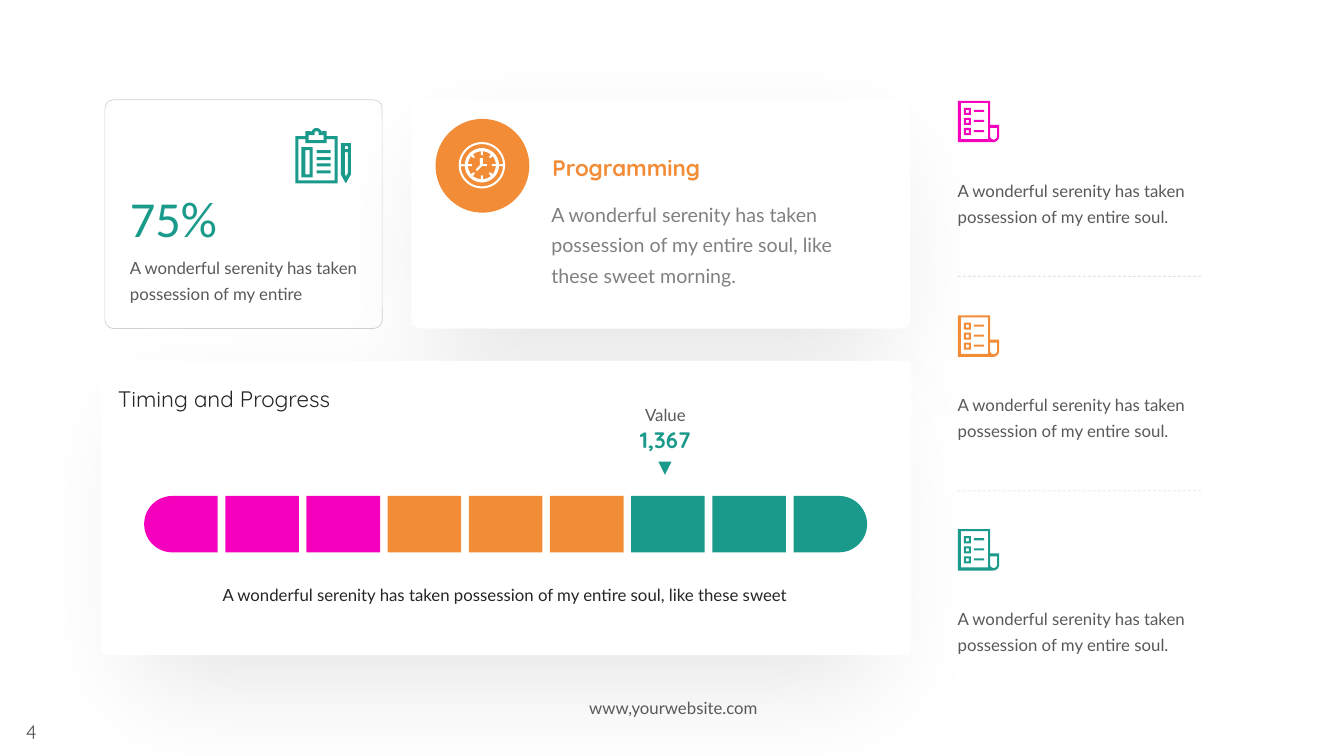
import math
import pptx
import pptx.dml.color
import pptx.enum.dml
import pptx.enum.shapes
import pptx.enum.text
import pptx.oxml
import pptx.oxml.ns
import pptx.util

PX = 9144  # EMU per px, 100 px to the inch
SHAPE = pptx.enum.shapes.MSO_SHAPE
ALIGN = pptx.enum.text.PP_ALIGN


class Theme:
    pink, orange, teal, white = "F500BD", "F38C37", "1A9A8B", "FFFFFF"
    ink, text, muted, rule = "262626", "595959", "808080", "A6A6A6"
    body, heading, plain = "Lato", "Quicksand", "Calibri"
    small, medium, large, huge = 12, 14, 16, 36


SERENITY = "A wonderful serenity has taken possession of my entire"
# text, box, font, size, colour, bold, centred, line spacing
TEXTS = [
    ("4", (0, 709, 62, 34), Theme.heading, Theme.medium, Theme.text, False, True, 1),
    ("75%", (119, 163, 246, 83), Theme.plain, Theme.huge, Theme.teal, False, False, 1.3),
    (SERENITY, (119, 245, 246, 54), Theme.body, Theme.small, Theme.text, False, False, 1.3),
    (SERENITY + " soul, like these sweet morning.", (537, 189, 342, 94),
     Theme.body, Theme.medium, Theme.muted, False, False, 1.3),
    ("Programming", (538, 140, 289, 40), Theme.heading, Theme.large, Theme.orange, True, False, 1.3),
    ("Timing and Progress", (107, 369, 233, 42),
     Theme.heading, Theme.large, Theme.ink, False, False, 1.3),
    (SERENITY + " soul, like these sweet", (118, 569, 766, 47),
     Theme.body, Theme.small, Theme.ink, False, True, 1.3),
    ("1,367", (616, 418, 88, 37), Theme.heading, Theme.large, Theme.teal, True, True, 1),
    ("Value", (613, 391, 94, 33), Theme.body, Theme.small, Theme.text, False, True, 1.3),
    ("www,yourwebsite.com", (546, 687, 244, 30),
     Theme.body, Theme.small, Theme.text, False, True, 1),
]
CARDS = [((408, 98, 495, 228), 0.038), ((100, 358, 804, 292), 0.02)]
STATS_CARD = (104, 99, 275, 227)
BADGE = (432, 118, 93, 93)
POINTER = (653, 458, 13, 13)
BAR = dict(left=143, top=492, width=73, height=56, right=860,
           colours=[Theme.pink] * 3 + [Theme.orange] * 3 + [Theme.teal] * 3)
NOTES = [(100, Theme.pink), (313, Theme.orange), (525, Theme.teal)]
NOTE_TEXT = SERENITY + " soul."
NOTE_LEFT, NOTE_RIGHT = 950, 1191


def box(x1, y1, x2, y2):
    return [(x1, y1), (x2, y1), (x2, y2), (x1, y2)]


def arc(cx, cy, r, start, end, steps=24):
    """Points along an arc, degrees clockwise from the right."""
    angles = [math.radians(start + (end - start) * i / steps) for i in range(steps + 1)]
    return [(cx + r * math.cos(a), cy + r * math.sin(a)) for a in angles]


def checklist_icon():
    outlines = [
        [(0, 0), (32, 0), (32, 24), (41, 24)] + arc(35, 35, 6, 0, 90) + [(0, 41)],
        box(3, 2, 30, 38),
        [(39, 27), (32, 27)] + arc(35.5, 35, 3.5, 180, 0),
    ]
    for y in (7, 17, 27):
        outlines += [box(6, y, 13, y + 7), box(8, y + 2, 11, y + 5), box(16, y + 2, 26, y + 4)]
    return outlines


def clipboard_icon():
    outlines = [
        [(0, 8), (10, 8), (10, 3)] + arc(21, 5, 5, 200, 340)
        + [(31, 3), (31, 8), (42, 8), (42, 55), (0, 55)],
        [(3, 11), (10, 11), (10, 15), (31, 15), (31, 11), (39, 11), (39, 52), (3, 52)],
        arc(21, 5, 2, 180, 360) + [(23, 7), (28, 7), (28, 12), (13, 12), (13, 7), (19, 7)],
        box(6, 19, 17, 49), box(10, 22, 14, 46),
        [(45, 15), (55, 15), (55, 46), (50, 55), (45, 46)],
        box(49, 18, 52, 21),
        [(49, 24), (52, 24), (52, 45), (50, 48), (49, 45)],
    ]
    return outlines + [box(21, y, 35, y + 3) for y in (22, 29, 35, 42)]


def clock_icon():
    quarter = [(-1, -10), (-1, -14), (-5, -13), (-9, -11), (-7, -8),
               (-8, -7), (-11, -9), (-13, -5), (-14, -1), (-10, -1)]
    dial = []
    for _ in range(4):
        dial += quarter
        quarter = [(y, -x) for x, y in quarter]
    hands = [(-2, -7), (1, -7), (1, -1), (5, -1), (5, 1), (0, 1), (-5, 6), (-6, 4), (-2, 0)]
    rings = [arc(0, 0, 21, a, a + 174) + arc(0, 0, 17, a + 174, a) for a in (3, 183)]
    return [arc(0, 0, 23, 0, 360, 60), *rings, dial, hands]


def rgb(colour):
    return pptx.dml.color.RGBColor.from_string(colour)


def emu(values):
    return [round(v * PX) for v in values]


def add_xml(parent, xml):
    ns = pptx.oxml.ns.nsdecls("a")
    parent.append(pptx.oxml.parse_xml(xml.replace(" ", f" {ns} ", 1)))


def paint(sp, fill):
    sp.shadow.inherit = False
    sp.line.fill.background()
    if fill:
        sp.fill.solid()
        sp.fill.fore_color.rgb = rgb(fill)
    else:
        sp.fill.background()


def add_preset(s, kind, at, fill, adjustments=()):
    sp = s.shapes.add_shape(kind, *emu(at))
    for i, value in enumerate(adjustments):
        sp.adjustments[i] = value
    paint(sp, fill)
    return sp


def add_icon(s, outlines, left, top, fill):
    placed = [[emu((left + x, top + y)) for x, y in outline] for outline in outlines]
    builder = s.shapes.build_freeform(*placed[0][0], scale=1.0)
    for i, outline in enumerate(placed):
        if i:
            builder.move_to(*outline[0])
        builder.add_line_segments(outline[1:], close=True)
    paint(builder.convert_to_shape(), fill)


def add_text(s, text, at, font, size, colour, bold=False, centred=False, spacing=1.3):
    tf = s.shapes.add_textbox(*emu(at)).text_frame
    tf.word_wrap = True
    p = tf.paragraphs[0]
    p.alignment = ALIGN.CENTER if centred else ALIGN.LEFT
    p.line_spacing = spacing
    if spacing > 1:
        p.space_after = pptx.util.Pt(6)
    r = p.add_run()
    r.text = text
    r.font.name, r.font.size, r.font.bold = font, pptx.util.Pt(size), bold
    r.font.color.rgb = rgb(colour)


def style_rule(line):
    """Thin half-transparent grey line."""
    line.width = pptx.util.Pt(0.5)
    line.color.rgb = rgb(Theme.rule)
    colour = line.fill._xPr.find(".//" + pptx.oxml.ns.qn("a:srgbClr"))
    add_xml(colour, '<a:alpha val="50000"/>')


def add_card(s, at, radius):
    sp = add_preset(s, SHAPE.ROUNDED_RECTANGLE, at, Theme.white, [radius])
    effects = sp._element.spPr.find(pptx.oxml.ns.qn("a:effectLst"))
    add_xml(effects, '<a:outerShdw blurRad="1016000" dist="381000" dir="5400000" sx="90000" '
                     'sy="90000" algn="ctr" rotWithShape="0"><a:srgbClr val="000000">'
                     '<a:alpha val="10000"/></a:srgbClr></a:outerShdw>')


def add_bar(s):
    w, h, last = BAR["width"], BAR["height"], len(BAR["colours"]) - 1
    pitch = (BAR["right"] - BAR["left"] - w) / last
    for i, colour in enumerate(BAR["colours"]):
        x = BAR["left"] + i * pitch
        if 0 < i < last:
            add_preset(s, SHAPE.RECTANGLE, (x, BAR["top"], w, h), colour)
        else:
            at = (x + (w - h) / 2, BAR["top"] - (w - h) / 2, h, w)
            cap = add_preset(s, SHAPE.ROUND_2_SAME_RECTANGLE, at, colour, (0.5, 0))
            cap.rotation = 90 if i else 270


def add_notes(s):
    for i, (top, colour) in enumerate(NOTES):
        add_icon(s, checklist_icon(), NOTE_LEFT, top, colour)
        add_text(s, NOTE_TEXT, (940, top + 68, 262, 60), Theme.body, Theme.small, Theme.text)
        if i < len(NOTES) - 1:
            ends = emu((NOTE_LEFT, top + 174, NOTE_RIGHT, top + 174))
            c = s.shapes.add_connector(pptx.enum.shapes.MSO_CONNECTOR.STRAIGHT, *ends)
            style_rule(c.line)
            c.line.dash_style = pptx.enum.dml.MSO_LINE.DASH
            add_xml(c._element.spPr, "<a:effectLst />")


def main():
    prs = pptx.Presentation()
    prs.slide_width, prs.slide_height = emu((1333, 750))
    s = prs.slides.add_slide(prs.slide_layouts[6])
    stats = add_preset(s, SHAPE.ROUNDED_RECTANGLE, STATS_CARD, None, [0.038])
    style_rule(stats.line)
    add_icon(s, clipboard_icon(), 293, 127, Theme.teal)
    for at, radius in CARDS:
        add_card(s, at, radius)
    add_preset(s, SHAPE.OVAL, BADGE, Theme.orange)
    add_icon(s, clock_icon(), 478, 164, Theme.white)
    add_bar(s)
    add_preset(s, SHAPE.ISOSCELES_TRIANGLE, POINTER, Theme.teal).rotation = 180
    for item in TEXTS:
        add_text(s, *item)
    add_notes(s)
    prs.save("out.pptx")


if __name__ == "__main__":
    main()
